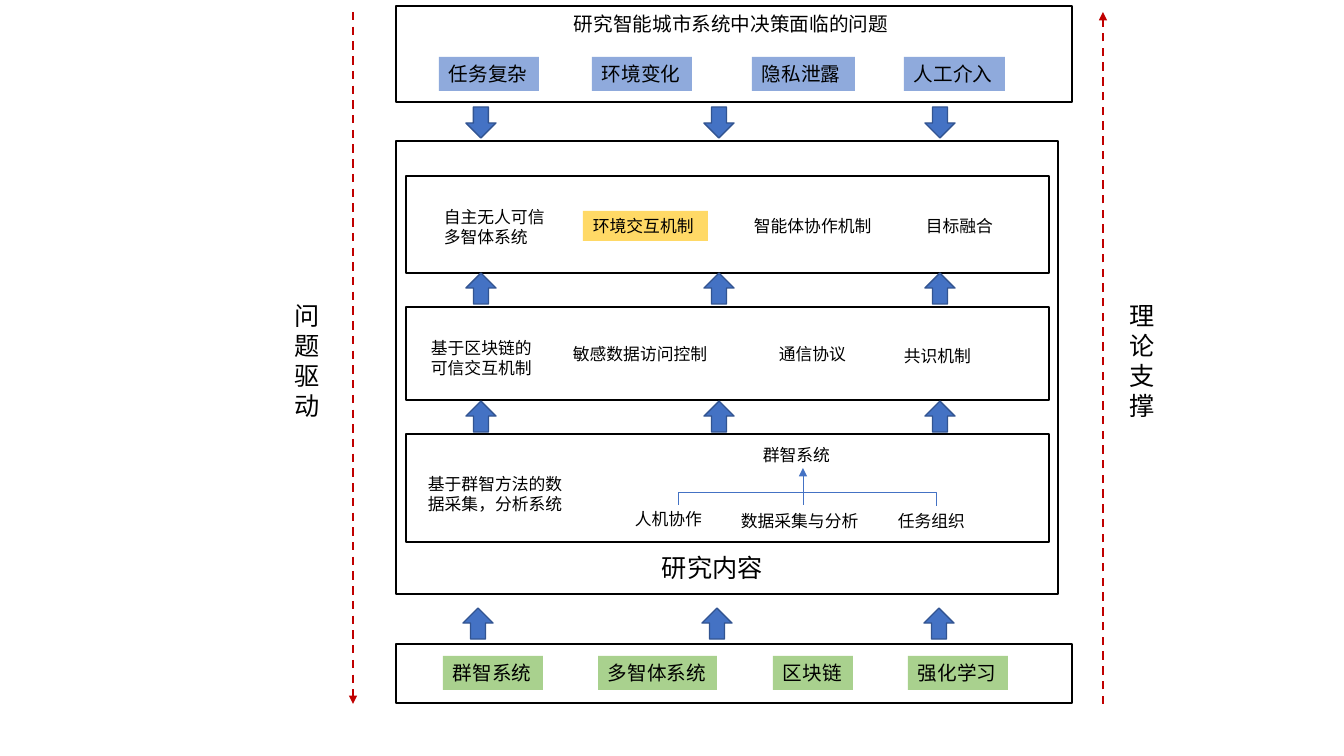
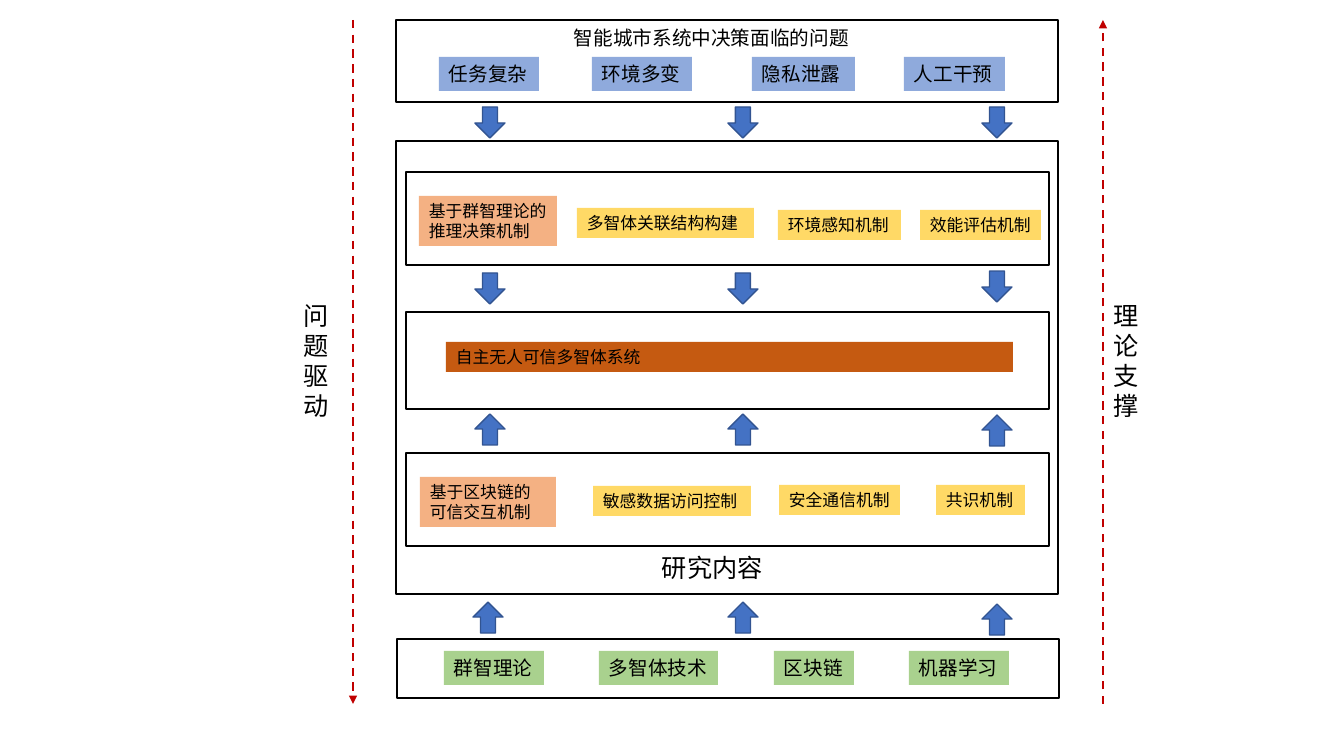
from lxml import etree
from pptx import Presentation
from pptx.dml.color import RGBColor
from pptx.enum.dml import MSO_LINE
from pptx.enum.shapes import MSO_CONNECTOR, MSO_SHAPE
from pptx.enum.text import MSO_AUTO_SIZE
from pptx.oxml.ns import qn
from pptx.util import Emu, Pt

RECTANGLE = MSO_SHAPE.RECTANGLE
DOWN_ARROW = MSO_SHAPE.DOWN_ARROW
STRAIGHT = MSO_CONNECTOR.STRAIGHT
ELBOW = MSO_CONNECTOR.ELBOW
DASH = MSO_LINE.DASH
FIT_SHAPE = MSO_AUTO_SIZE.SHAPE_TO_FIT_TEXT

FONT = "Calibri"
COLORS = {
    "text": "000000", "frame": "000000", "paper": "FFFFFF",
    "arrow": "4472C4", "arrow_edge": "325491", "side": "C00000",
    "problem": "8FAADC", "basis": "A9D18E", "topic": "FFD966",
    "theme": "F4B183", "system": "C55A11",
}
PX = 914400 / 100.8

# Columns of the chips: offset from the frame's left edge, width
PROBLEM_COLUMNS = [(43, 100), (196, 100), (356, 103), (508, 101)]
BASIS_COLUMNS = [(47, 100), (202, 119), (377, 80), (512, 100)]
CORE = (396, 141, 662, 453)
LAYER_LEFT, LAYER_WIDTH = 406, 643


def px(*lengths):
    return [Emu(round(length * PX)) for length in lengths]


def rgb(name):
    return RGBColor.from_string(COLORS[name])


def label(slide, text, box, size=12, fill=None, wrap=True, vertical=False):
    shape = slide.shapes.add_textbox(*px(*box))
    if fill:
        shape.fill.solid()
        shape.fill.fore_color.rgb = rgb(fill)
    frame = shape.text_frame
    frame.word_wrap = wrap
    frame.auto_size = FIT_SHAPE
    if vertical:
        shape.element.txBody.find(qn("a:bodyPr")).set("vert", "wordArtVert")
    run = frame.paragraphs[0].add_run()
    run.text = text
    run.font.name = FONT
    run.font.size = Pt(size)
    run.font.color.rgb = rgb("text")


def block(slide, kind, box, fill, edge, weight):
    shape = slide.shapes.add_shape(kind, *px(*box))
    shape.shadow.inherit = False
    shape.fill.solid()
    shape.fill.fore_color.rgb = rgb(fill)
    shape.line.color.rgb = rgb(edge)
    shape.line.width = Pt(weight)
    return shape


def outline(slide, box):
    block(slide, RECTANGLE, box, "paper", "frame", 1.5)


def connect(slide, start, end, color="arrow", weight=0.5, kind=STRAIGHT,
            dashed=False, head=False):
    line = slide.shapes.add_connector(kind, *px(*start, *end))
    line.line.color.rgb = rgb(color)
    line.line.width = Pt(weight)
    if dashed:
        line.line.dash_style = DASH
    properties = line.element.spPr
    if kind == ELBOW:
        properties.find(qn("a:prstGeom")).set("prst", "bentConnector2")
    if head:
        tip = etree.SubElement(properties.find(qn("a:ln")), qn("a:tailEnd"))
        tip.set("type", "triangle")
    etree.SubElement(properties, qn("a:effectLst"))


def arrow_row(slide, top, lefts, up=False, last_shift=0):
    for left, shift in zip(lefts, (0, 0, last_shift)):
        arrow = block(slide, DOWN_ARROW, (left, top + shift, 30, 31),
                      "arrow", "arrow_edge", 1)
        arrow.rotation = 180 if up else 0


def chip_row(slide, left, top, columns, texts, fill):
    for (dx, width), text in zip(columns, texts):
        label(slide, text, (left + dx, top, width, 34), size=14, fill=fill,
              wrap=False)


def problems(slide, box, heading, heading_width, texts):
    left, top, _, height = box
    outline(slide, box)
    label(slide, heading, (left + 168, top + 1, heading_width, 34), size=14,
          wrap=False)
    chip_row(slide, left, top + height - 45, PROBLEM_COLUMNS, texts, "problem")


def foundations(slide, box, texts):
    outline(slide, box)
    chip_row(slide, box[0], box[1] + 12, BASIS_COLUMNS, texts, "basis")


def core(slide, box):
    left, top, _, _ = box
    outline(slide, box)
    label(slide, "研究内容", (left + 256, top + 406, 122, 40), size=18, wrap=False)


def layer(slide, top, height, items):
    """Each item: dx, dy, width, height, text, fill."""
    outline(slide, (LAYER_LEFT, top, LAYER_WIDTH, height))
    for dx, dy, width, item_height, text, fill in items:
        label(slide, text, (LAYER_LEFT + dx, top + dy, width, item_height),
              fill=fill)


def crowd_tree(slide, left, top):
    hub = (left + 397, top + 58)
    for foot in ((left + 272, top + 71), (left + 530, top + 72)):
        connect(slide, hub, foot, kind=ELBOW)
    connect(slide, hub, (hub[0], top + 34), head=True)
    connect(slide, (hub[0], top + 48), (hub[0], top + 71))


def sides(slide, top, driver_left, support_left):
    bottom = 704
    connect(slide, (353, top), (353, bottom), "side", 1.5, dashed=True, head=True)
    connect(slide, (1103, bottom), (1103, top), "side", 1.5, dashed=True, head=True)
    for left, text in ((driver_left, "问题驱动"), (support_left, "理论支撑")):
        label(slide, text, (left, 295, 56, 134), size=18, wrap=False,
              vertical=True)


def first_plan(slide):
    core(slide, CORE)
    sides(slide, 12, 285, 1120)
    problems(slide, (396, 6, 676, 96), "研究智能城市系统中决策面临的问题", 348,
             ["任务复杂", "环境变化", "隐私泄露", "人工介入"])
    foundations(slide, (396, 644, 676, 59),
                ["群智系统", "多智体系统", "区块链", "强化学习"])
    # Three research layers
    layer(slide, 176, 97, [
        (28, 26, 130, 50, "自主无人可信多智体系统", None),
        (177, 35, 125, 30, "环境交互机制", "topic"),
        (338, 35, 155, 30, "智能体协作机制", None),
        (510, 35, 142, 30, "目标融合", None)])
    layer(slide, 307, 93, [
        (15, 26, 136, 50, "基于区块链的可信交互机制", None),
        (157, 32, 160, 30, "敏感数据访问控制", None),
        (363, 32, 105, 30, "通信协议", None),
        (488, 34, 105, 30, "共识机制", None)])
    layer(slide, 434, 108, [
        (12, 35, 158, 50, "基于群智方法的数据采集，分析系统", None),
        (347, 6, 102, 30, "群智系统", None),
        (219, 70, 97, 30, "人机协作", None),
        (325, 72, 145, 30, "数据采集与分析", None),
        (482, 72, 97, 30, "任务组织", None)])
    crowd_tree(slide, LAYER_LEFT, 434)
    # Flow between the layers
    lefts = (466, 704, 925)
    arrow_row(slide, 107, lefts)
    for top in (273, 401):
        arrow_row(slide, top, lefts, up=True)
    arrow_row(slide, 608, (463, 702, 924), up=True)


def second_plan(slide):
    core(slide, CORE)
    sides(slide, 20, 294, 1104)
    problems(slide, (396, 20, 662, 82), "智能城市系统中决策面临的问题", 297,
             ["任务复杂", "环境多变", "隐私泄露", "人工干预"])
    foundations(slide, (397, 639, 662, 59),
                ["群智理论", "多智体技术", "区块链", "机器学习"])
    # Three research layers
    layer(slide, 172, 93, [
        (13, 24, 138, 50, "基于群智理论的推理决策机制", "theme"),
        (171, 36, 177, 30, "多智体关联结构构建", "topic"),
        (372, 38, 123, 30, "环境感知机制", "topic"),
        (514, 38, 121, 30, "效能评估机制", "topic")])
    layer(slide, 312, 97, [
        (40, 30, 567, 30, "自主无人可信多智体系统", "system")])
    layer(slide, 453, 93, [
        (14, 24, 136, 50, "基于区块链的可信交互机制", "theme"),
        (187, 33, 158, 30, "敏感数据访问控制", "topic"),
        (373, 32, 121, 30, "安全通信机制", "topic"),
        (530, 32, 89, 30, "共识机制", "topic")])
    # Flow between the layers
    lefts = (475, 728, 982)
    arrow_row(slide, 107, lefts)
    arrow_row(slide, 273, lefts, last_shift=-2)
    arrow_row(slide, 414, lefts, up=True, last_shift=1)
    arrow_row(slide, 602, (473, 728, 982), up=True, last_shift=2)


deck = Presentation()
deck.slide_width, deck.slide_height = px(1344, 756)
blank = deck.slide_layouts[6]
for plan in (first_plan, second_plan):
    plan(deck.slides.add_slide(blank))
deck.save("out.pptx")
